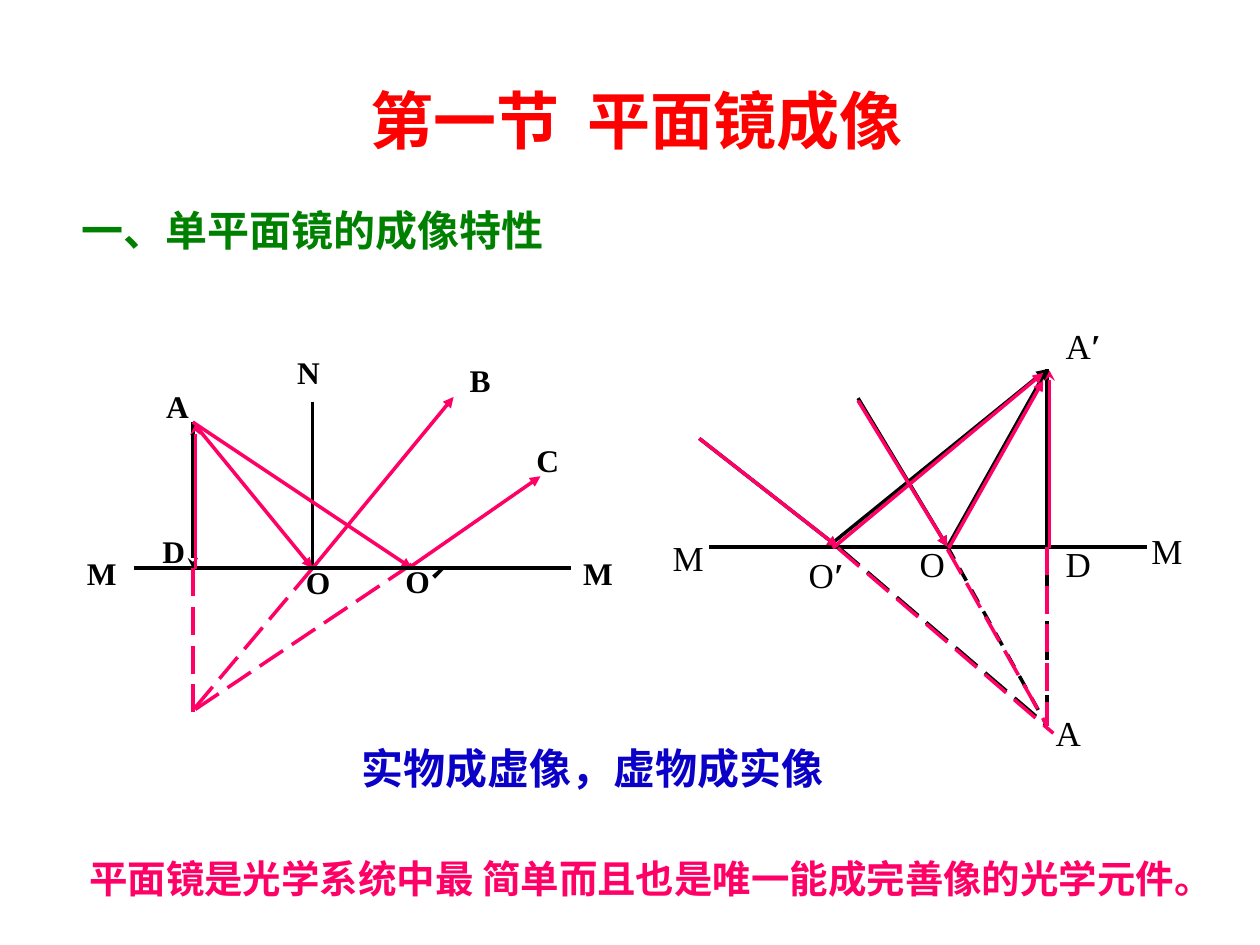
from lxml.etree import SubElement
from pptx import Presentation
from pptx.dml.color import RGBColor
from pptx.enum.dml import MSO_LINE_DASH_STYLE as Dash
from pptx.enum.shapes import MSO_CONNECTOR as Connector
from pptx.enum.text import MSO_ANCHOR as Anchor, PP_ALIGN as Align
from pptx.oxml.ns import qn
from pptx.util import Inches, Pt

BLACK = RGBColor(0x00, 0x00, 0x00)
PINK = RGBColor(0xFF, 0x00, 0x66)
RED = RGBColor(0xFF, 0x00, 0x00)
GREEN = RGBColor(0x00, 0x80, 0x00)
BLUE = RGBColor(0x0A, 0x00, 0xC8)
HAN = "Noto Sans CJK SC"
ROMAN = "Times New Roman"


class MirrorSlide:
    """Hold the style and the current slide, and draw its rays and text."""

    def __init__(self, presentation):
        self.slide = presentation.slides.add_slide(presentation.slide_layouts[6])
        self.line_width = Pt(2)

    def line(self, start, end, color=PINK, arrow=None, dash=None):
        x1, y1, x2, y2 = (Inches(value) for value in (*start, *end))
        connector = self.slide.shapes.add_connector(Connector.STRAIGHT, x1, y1, x2, y2)
        connector.line.color.rgb = color
        connector.line.width = self.line_width
        if dash:
            connector.line.dash_style = dash
        if arrow:
            SubElement(connector.line._get_or_add_ln(), qn("a:tailEnd"), type=arrow)
        SubElement(connector._element.spPr, qn("a:effectLst"))

    def text(self, box, runs, size, color=BLACK, align=Align.LEFT, anchor=Anchor.TOP, wrap=True):
        shape = self.slide.shapes.add_textbox(*(Inches(value) for value in box))
        frame = shape.text_frame
        frame.word_wrap = wrap
        frame.vertical_anchor = anchor
        paragraph = frame.paragraphs[0]
        paragraph.alignment = align
        for content, font_name, bold in runs:
            run = paragraph.add_run()
            run.text = content
            font = run.font
            font.name, font.size, font.bold = font_name, Pt(size), bold
            font.color.rgb = color
            SubElement(run._r.get_or_add_rPr(), qn("a:ea"), typeface=font_name)
        return paragraph

    def heading(self, box, content, size, color, **layout):
        return self.text(box, [(content, HAN, True)], size, color, **layout)

    def object_label(self, left, top, letter, prime="", width=0.63):
        runs = [(letter, ROMAN, True)] + ([(prime, HAN, True)] if prime else [])
        self.text((left, top, width, 0.5), runs, 18, align=Align.JUSTIFY)

    def image_label(self, left, top, letter, prime="", width=0.4):
        runs = [(letter, ROMAN, False)] + ([(prime, ROMAN, True)] if prime else [])
        self.text((left, top, width, 0.43), runs, 20, wrap=False)


def draw_real_object(page):
    source, foot, center, side = (1.53, 3.35), (1.53, 4.51), (2.48, 4.51), (3.27, 4.51)
    page.line((2.48, 3.19), center, BLACK)
    page.line(source, center, arrow="triangle")
    page.line(source, foot, BLACK, "stealth")
    page.line((1.55, 5.63), (3.28, 4.47), dash=Dash.LONG_DASH)
    page.line((3.27, 4.49), (4.29, 3.78), arrow="triangle")
    page.line(source, side, arrow="triangle")
    page.line(center, (1.52, 5.65), dash=Dash.LONG_DASH)
    page.line(center, (3.6, 3.15), arrow="triangle")
    page.line((1.06, 4.51), (4.53, 4.51), BLACK)
    page.object_label(0.59, 4.35, "M", width=0.31)
    page.object_label(4.53, 4.35, "M", width=0.56)
    for left, top, letter in ((1.22, 3.02, "A"), (2.26, 2.75, "N"), (3.63, 2.82, "B"),
                              (4.16, 3.45, "C"), (2.33, 4.42, "O"), (1.19, 4.17, "D")):
        page.object_label(left, top, letter)
    page.object_label(3.12, 4.41, "O", "ˊ", 0.8)
    page.line(foot, (1.53, 5.65), dash=Dash.LONG_DASH)
    page.line((1.55, 4.52), (1.55, 3.37), arrow="stealth")


def draw_virtual_object(page):
    image, foot, center, side = (8.31, 2.93), (8.31, 4.34), (7.52, 4.34), (6.65, 4.34)
    target = (8.31, 5.76)
    page.line((5.63, 4.34), (9.1, 4.34), BLACK)
    page.line(image, foot, BLACK)
    page.line(foot, target, BLACK, dash=Dash.DASH)
    page.line(center, image, BLACK, "triangle")
    page.line((6.81, 3.16), center, BLACK, "triangle")
    page.line(center, target, BLACK, dash=Dash.DASH)
    page.line((6.57, 4.34), image, BLACK, "triangle")
    page.line((5.55, 3.48), side, BLACK, "triangle")
    page.line(side, target, BLACK, dash=Dash.LONG_DASH)
    page.image_label(5.24, 4.21, "M", width=0.45)
    page.image_label(9.04, 4.15, "M", width=0.45)
    page.image_label(8.36, 2.53, "A", "′", 0.68)
    page.image_label(6.32, 4.34, "O", "′", 0.68)
    for left, top, letter in ((7.2, 4.26, "O"), (8.36, 4.26, "D"), (8.28, 5.6, "A")):
        page.image_label(left, top, letter)
    page.line((8.33, 4.35), (8.33, 2.94), arrow="stealth")
    page.line((5.55, 3.48), side, arrow="triangle")
    page.line((6.81, 3.18), center, arrow="triangle")
    page.line((6.65, 4.35), (8.36, 5.82), dash=Dash.LONG_DASH)
    page.line((7.52, 4.36), target, dash=Dash.LONG_DASH)
    page.line(foot, target, dash=Dash.LONG_DASH)
    page.line((6.61, 4.35), (8.28, 2.96), arrow="triangle")
    page.line((7.53, 4.35), (8.28, 3.02), arrow="triangle")


def main():
    presentation = Presentation()
    presentation.slide_width, presentation.slide_height = Inches(10), Inches(7.5)
    page = MirrorSlide(presentation)
    page.heading((1.09, 0.64, 7.92, 0.62), "第一节  平面镜成像", 36, RED,
                 align=Align.CENTER, anchor=Anchor.MIDDLE)
    page.heading((0.55, 1.51, 4.48, 0.62), "一、单平面镜的成像特性", 24, GREEN,
                 anchor=Anchor.MIDDLE)
    draw_real_object(page)
    draw_virtual_object(page)
    page.heading((2.77, 5.84, 3.89, 0.5), "实物成虚像，虚物成实像", 24, BLUE, wrap=False)
    conclusion = page.heading((0.61, 6.66, 9.25, 1.02),
                              "平面镜是光学系统中最 简单而且也是唯一能成完善像的光学元件。", 22, PINK)
    conclusion.line_spacing = 1.2
    properties = conclusion._p.get_or_add_pPr()
    properties.set("marL", str(Inches(0.38)))
    properties.set("indent", str(Inches(-0.38)))
    presentation.save("out.pptx")


if __name__ == "__main__":
    main()
